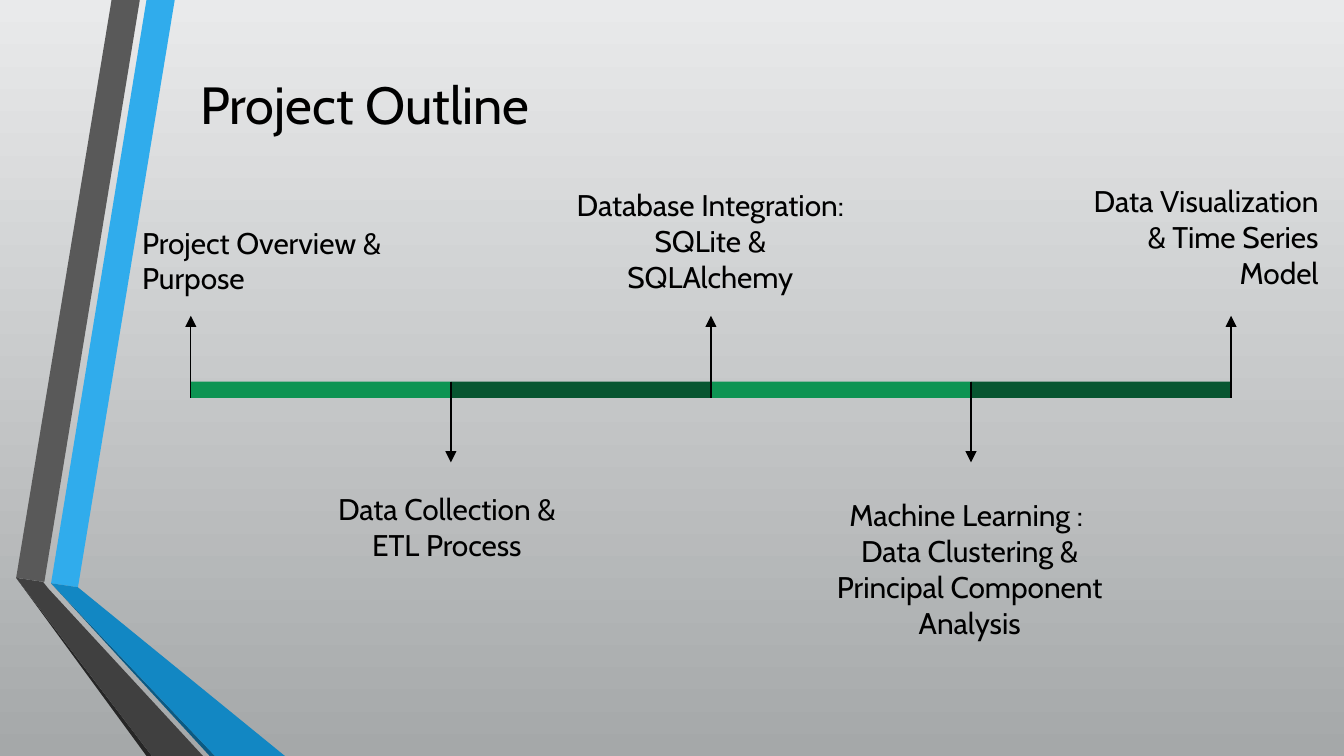
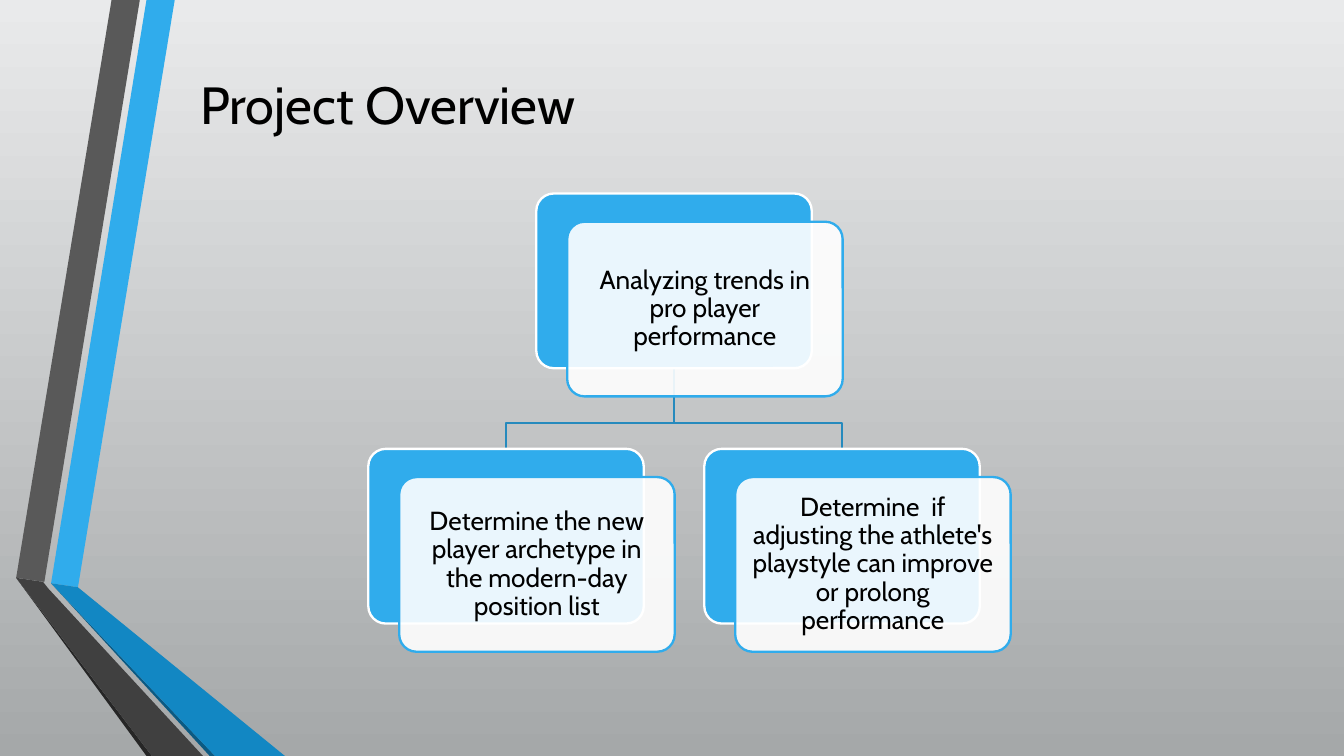
from collections import namedtuple

from lxml.etree import SubElement
from pptx import Presentation
from pptx.dml.color import RGBColor
from pptx.enum.shapes import MSO_CONNECTOR, MSO_SHAPE
from pptx.enum.text import MSO_ANCHOR, MSO_AUTO_SIZE, PP_ALIGN
from pptx.oxml.ns import qn
from pptx.util import Inches, Pt

Box = namedtuple("Box", "left top width height")

FONT = "Cabin"
COLORS = {
    "text": "000000",
    "white": "FFFFFF",
    "sky": "E9EAEB",
    "ground": "A5A8A9",
    "blue": "30ACEC",
    "blue_fold": "1287C3",
    "blue_edge": "0C5A82",
    "gray": "595959",
    "gray_fold": "404040",
    "gray_edge": "262626",
    "green": "0E9453",
    "dark_green": "085631",
    "branch": "268ABD",
}
PAGE = Box(0, 0, 10, 10 * 9 / 16)
FLOOR = PAGE.height
TITLE = Box(1.39, 0.27, 7.99, 1)
RIBBONS = [
    ("blue", [(0.38, 4.34), (0.58, 4.37), (1.3, 0), (1.09, 0)]),
    ("gray", [(1.04, 0), (0.83, 0), (0.12, 4.3), (0.33, 4.33)]),
    ("gray_edge", [(0.12, 4.3), (1.09, FLOOR), (1.13, FLOOR)]),
    ("blue_edge", [(0.38, 4.34), (1.56, FLOOR), (1.6, FLOOR)]),
    ("blue_fold", [(0.38, 4.34), (1.6, FLOOR), (2.12, FLOOR), (0.58, 4.37)]),
    ("gray_fold", [(1.51, FLOOR), (0.36, 4.38), (0.32, 4.33), (0.12, 4.3), (1.13, FLOOR)]),
]
MILESTONES = [
    ("Project Overview & Purpose", Box(-0.46, -1.22, 2, 0.64), PP_ALIGN.LEFT),
    ("Data Collection & ETL Process", Box(0.95, 0.76, 1.91, 0.64), PP_ALIGN.CENTER),
    ("Database Integration: SQLite & SQLAlchemy", Box(2.72, -1.5, 2.29, 0.91), PP_ALIGN.CENTER),
    ("Machine Learning :  Data Clustering & Principal Component Analysis",
     Box(4.65, 0.81, 2.29, 1.18), PP_ALIGN.CENTER),
    ("Data Visualization\n& Time Series Model", Box(6.56, -1.53, 1.93, 0.91), PP_ALIGN.RIGHT),
]
GOAL = "Analyzing trends in pro player performance"
QUESTIONS = [
    "Determine the new player archetype in the modern-day position list",
    "Determine  if adjusting the athlete's playstyle can improve or prolong performance",
]


def color(name):
    return RGBColor.from_string(COLORS[name])


def inches(box):
    return [Inches(length) for length in box]


def write(frame, text, size=16, align=PP_ALIGN.LEFT, anchor=MSO_ANCHOR.TOP, inset=None, spacing=None):
    frame.word_wrap = True
    frame.vertical_anchor = anchor
    if inset is not None:
        frame.margin_left = frame.margin_right = Inches(inset)
        frame.margin_top = frame.margin_bottom = Inches(inset)
    for index, line in enumerate(text.split("\n")):
        para = frame.paragraphs[0] if index == 0 else frame.add_paragraph()
        para.alignment = align
        if spacing:
            para.line_spacing = spacing
        span = para.add_run()
        span.text = line
        span.font.name = FONT
        span.font.size = Pt(size)
        span.font.color.rgb = color("text")


def paint(shape, fill=None, line=None, opacity=100):
    shape.shadow.inherit = False
    if fill:
        shape.fill.solid()
        shape.fill.fore_color.rgb = color(fill)
        if opacity < 100:
            tint = shape.element.spPr.find(qn("a:solidFill"))[0]
            SubElement(tint, qn("a:alpha"), val=str(opacity * 1000))
    else:
        shape.fill.background()
    if line:
        shape.line.color.rgb = color(line)
        shape.line.width = Pt(1.25)
    else:
        shape.line.fill.background()


def add_outline(slide, points, close=True, **look):
    start, *rest = [(Inches(x), Inches(y)) for x, y in points]
    builder = slide.shapes.build_freeform(*start)
    builder.add_line_segments(rest, close=close)
    paint(builder.convert_to_shape(), **look)


def add_arrow(slide, x, start, end):
    arrow = slide.shapes.add_connector(
        MSO_CONNECTOR.STRAIGHT, Inches(x), Inches(start), Inches(x), Inches(end))
    arrow.line.color.rgb = color("text")
    arrow.line.width = Pt(0.75)
    properties = arrow.element.spPr
    SubElement(properties.get_or_add_ln(), qn("a:tailEnd"), type="triangle")
    SubElement(properties, qn("a:effectLst"))


def add_page(deck, title):
    slide = deck.slides.add_slide(deck.slide_layouts[5])
    fill = slide.background.fill
    fill.gradient()
    fill.gradient_angle = 270
    for stop, position, name in zip(fill.gradient_stops, (0, 1), ("sky", "ground")):
        stop.position = position
        stop.color.rgb = color(name)
    for name, points in RIBBONS:
        add_outline(slide, points, fill=name)
    heading = slide.shapes.title
    heading.left, heading.top, heading.width, heading.height = inches(TITLE)
    write(heading.text_frame, title, size=28, anchor=MSO_ANCHOR.MIDDLE)
    return slide


def add_timeline(slide, box):
    segments = len(MILESTONES) - 1
    step = box.width / segments
    bottom = box.top + box.height
    for index in range(segments):
        bar = slide.shapes.add_shape(
            MSO_SHAPE.RECTANGLE, *inches((box.left + index * step, box.top, step, box.height)))
        paint(bar, fill="dark_green" if index % 2 else "green")
    for index, (text, place, align) in enumerate(MILESTONES):
        x = box.left + index * step
        if index % 2:
            add_arrow(slide, x, box.top, box.top + 0.6)
        else:
            add_arrow(slide, x, bottom, bottom - 0.61)
        label = slide.shapes.add_textbox(
            *inches((box.left + place.left, box.top + place.top, place.width, place.height)))
        write(label.text_frame, text, align=align)
        label.text_frame.auto_size = MSO_AUTO_SIZE.SHAPE_TO_FIT_TEXT


def add_card(slide, text, box):
    shift_x, shift_y, pad = 0.23, 0.21, 0.04
    face = box._replace(left=box.left + shift_x, top=box.top + shift_y)
    back = slide.shapes.add_shape(MSO_SHAPE.ROUNDED_RECTANGLE, *inches(box))
    front = slide.shapes.add_shape(MSO_SHAPE.ROUNDED_RECTANGLE, *inches(face))
    for shape in (back, front):
        shape.adjustments[0] = 0.1
    paint(back, fill="blue", line="white")
    paint(front, fill="white", line="blue", opacity=90)
    label = slide.shapes.add_textbox(*inches(
        (face.left + pad, face.top + pad, face.width - 2 * pad, face.height - 2 * pad)))
    write(label.text_frame, text, size=14, align=PP_ALIGN.CENTER,
          anchor=MSO_ANCHOR.MIDDLE, inset=0.06, spacing=0.9)


def add_hierarchy(slide, box):
    width, height = 2.05, 1.3
    center = box.left + box.width / 2
    goal = Box(center - width / 2, box.top, width, height)
    row = box.top + 1.9
    step = (box.width - width) / (len(QUESTIONS) - 1)
    cards = [Box(box.left + index * step, row, width, height) for index in range(len(QUESTIONS))]
    goal_bottom = goal.top + height
    fork = row - 0.19
    for card in reversed(cards):
        middle = card.left + width / 2
        add_outline(slide, [(center, goal_bottom), (center, fork), (middle, fork), (middle, row)],
                    close=False, line="branch")
    for text, card in zip([GOAL] + QUESTIONS, [goal] + cards):
        add_card(slide, text, card)


def main():
    deck = Presentation()
    deck.slide_width = Inches(PAGE.width)
    deck.slide_height = Inches(PAGE.height)
    add_timeline(add_page(deck, "Project Outline"), Box(1.42, 2.84, 7.74, 0.12))
    add_hierarchy(add_page(deck, "Project Overview"), Box(2.74, 1.44, 4.55, 3.2))
    deck.save("out.pptx")


if __name__ == "__main__":
    main()
